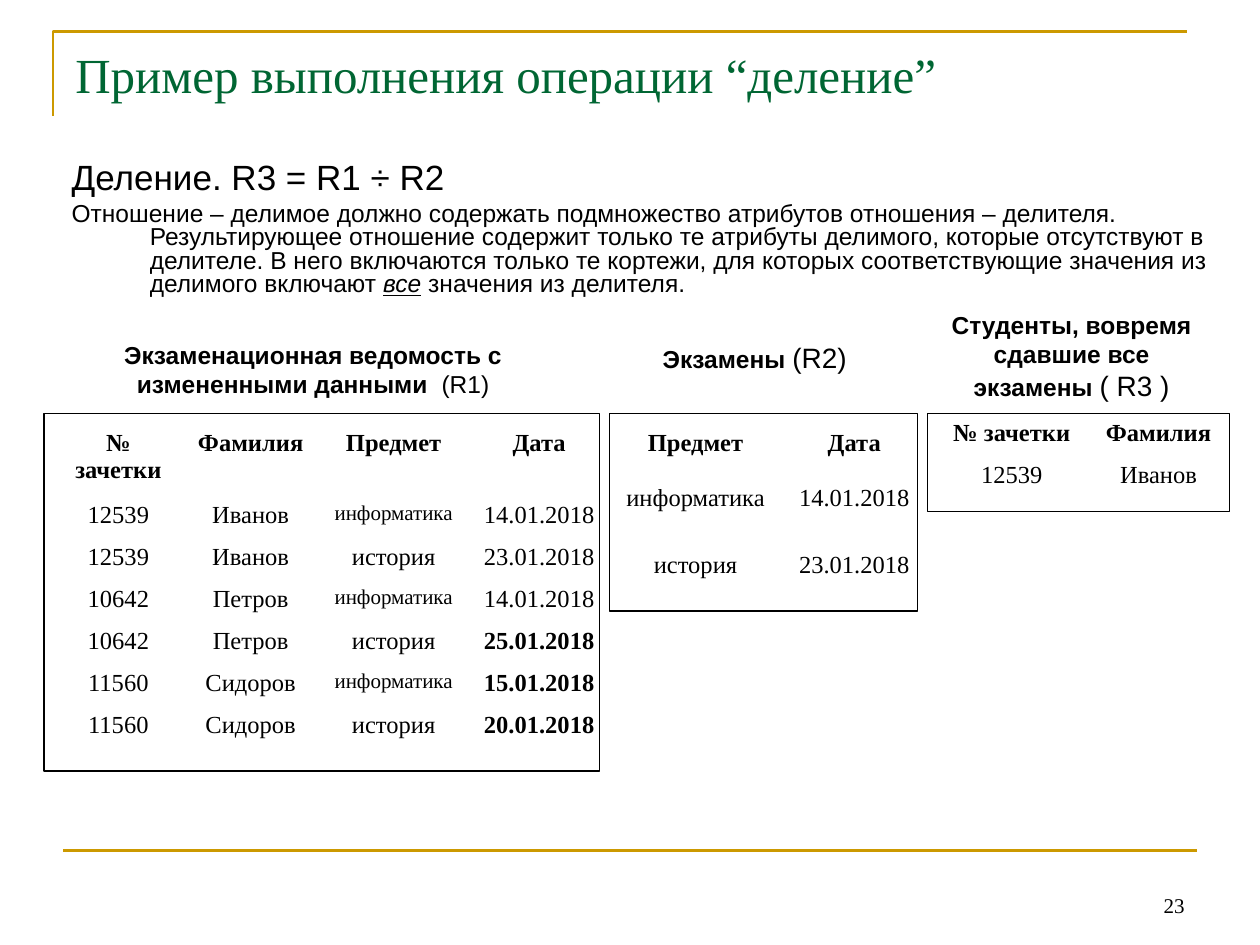
from dataclasses import dataclass

from pptx import Presentation, util as u
from pptx.dml.color import RGBColor
from pptx.enum import shapes, text
from pptx.oxml.xmlchemy import OxmlElement


@dataclass(frozen=True)
class Theme:
    green: str = "006633"
    gold: str = "CC9900"
    black: str = "000000"
    sans: str = "Arial"
    serif: str = "Times New Roman"
    title: float = 28
    heading: float = 20
    symbol: float = 16
    body: float = 14
    small: float = 12
    rule: float = 1.5
    frame: float = 0.75
    plain_table: str = "{2D5ABB26-0587-4C30-8999-92F81FD0307C}"


THEME = Theme()
CENTER = text.PP_ALIGN.CENTER


@dataclass(frozen=True)
class Area:
    left: float
    top: float
    width: float
    height: float

    def lengths(self):
        return [u.Inches(v) for v in (self.left, self.top, self.width, self.height)]


@dataclass(frozen=True)
class Relation:
    area: Area
    columns: tuple
    row_heights: tuple
    rows: tuple
    late: tuple = ()  # dates set in bold
    small: str = ""  # word set in the small size


@dataclass(frozen=True)
class Caption:
    area: Area
    name: str
    symbol: str
    symbol_size: float


def add_span(para, words: str, *, size=THEME.body, font=THEME.sans,
             color=THEME.black, bold=False, italic=False, underline=False):
    """Append formatted text to a paragraph."""
    span = para.add_run()
    span.text = words
    span.font.size, span.font.name = u.Pt(size), font
    span.font.bold, span.font.italic = bold, italic
    span.font.underline = underline
    span.font.color.rgb = RGBColor.from_string(color)


def add_box(page, area: Area, *, anchor=text.MSO_ANCHOR.TOP):
    box = page.shapes.add_textbox(*area.lengths())
    frame = box.text_frame
    frame.word_wrap = True
    frame.vertical_anchor = anchor
    return frame


def set_line(shape, color: str, width: float) -> None:
    shape.line.color.rgb = RGBColor.from_string(color)
    shape.line.width = u.Pt(width)


def add_frame(page, area: Area) -> None:
    frame = page.shapes.add_shape(shapes.MSO_SHAPE.RECTANGLE, *area.lengths())
    frame.shadow.inherit = False
    frame.fill.background()
    set_line(frame, THEME.black, THEME.frame)


def add_caption(page, caption: Caption) -> None:
    para = add_box(page, caption.area).paragraphs[0]
    para.alignment = CENTER
    add_span(para, caption.name, bold=True)
    add_span(para, caption.symbol, size=caption.symbol_size)


def add_relation(page, relation: Relation) -> None:
    table = page.shapes.add_table(len(relation.rows), len(relation.columns),
                                  *relation.area.lengths()).table
    table.first_row = table.horz_banding = False
    table._tbl.tblPr[0].text = THEME.plain_table
    for column, width in zip(table.columns, relation.columns):
        column.width = u.Inches(width)
    for row, height in zip(table.rows, relation.row_heights):
        row.height = u.Inches(height)
    for r, values in enumerate(relation.rows):
        for c, value in enumerate(values):
            cell = table.cell(r, c)
            cell.fill.background()
            if not value:
                continue
            para = cell.text_frame.paragraphs[0]
            para.alignment = CENTER
            size = THEME.small if value == relation.small else THEME.body
            add_span(para, value, font=THEME.serif, size=size,
                     bold=r == 0 or value in relation.late)


def add_rules(page) -> None:
    corner = page.shapes.build_freeform(u.Inches(0.42), u.Inches(0.92))
    corner.add_line_segments([(u.Inches(0.42), u.Inches(0.25)),
                              (u.Inches(9.42), u.Inches(0.25))], close=False)
    bracket = corner.convert_to_shape()
    bracket.shadow.inherit = False
    bracket.fill.background()
    footer = page.shapes.add_connector(
        shapes.MSO_CONNECTOR.STRAIGHT,
        u.Inches(0.5), u.Inches(6.75), u.Inches(9.5), u.Inches(6.75))
    for rule in (bracket, footer):
        set_line(rule, THEME.gold, THEME.rule)
    footer._element.spPr.append(OxmlElement("a:effectLst"))


def add_definition(page) -> None:
    frame = add_box(page, Area(0.47, 1.25, 9.29, 1.18))
    heading, rule = frame.paragraphs[0], frame.add_paragraph()
    for para in (heading, rule):
        para.line_spacing = 0.8
        props = para._p.get_or_add_pPr()
        props.set("marL", str(u.Inches(0.62)))
        props.set("indent", str(u.Inches(-0.62)))
    rule.space_before = u.Pt(3.5)
    add_span(heading, "Деление. R3 = R1 ÷ R2", size=THEME.heading)
    add_span(rule, "Отношение – делимое должно содержать подмножество атрибутов "
                   "отношения – делителя. Результирующее отношение содержит только "
                   "те атрибуты делимого, которые отсутствуют в делителе. В него "
                   "включаются только те кортежи, для которых соответствующие "
                   "значения из делимого включают ")
    add_span(rule, "все", italic=True, underline=True)
    add_span(rule, " значения из делителя.")


EXAMS = Relation(
    Area(4.84, 3.36, 2.52, 1.5), (1.36, 1.16), (0.44, 0.53, 0.53),
    (("Предмет", "Дата"),
     ("информатика", "14.01.2018"),
     ("история", "23.01.2018")))
BLANK = Relation(Area(0.51, 3.51, 2.29, 2), (1.06, 1.23), (0.4,) * 5, (("", ""),) * 5)
PASSED = Relation(
    Area(7.44, 3.28, 2.33, 0.66), (1.18, 1.15), (0.33, 0.33),
    (("№ зачетки", "Фамилия"), ("12539", "Иванов")))
RECORDS = Relation(
    Area(0.43, 3.36, 4.41, 2.62), (1.02, 1.08, 1.19, 1.12),
    (0.57,) + (0.33,) * 5 + (0.4,),
    (("№ зачетки", "Фамилия", "Предмет", "Дата"),
     ("12539", "Иванов", "информатика", "14.01.2018"),
     ("12539", "Иванов", "история", "23.01.2018"),
     ("10642", "Петров", "информатика", "14.01.2018"),
     ("10642", "Петров", "история", "25.01.2018"),
     ("11560", "Сидоров", "информатика", "15.01.2018"),
     ("11560", "Сидоров", "история", "20.01.2018")),
    late=("25.01.2018", "15.01.2018", "20.01.2018"), small="информатика")
CAPTIONS = (
    Caption(Area(7.44, 2.41, 2.13, 0.84), "Студенты, вовремя сдавшие все экзамены ",
            "( R3 )", THEME.symbol),
    Caption(Area(4.76, 2.65, 2.52, 0.37), "Экзамены ", "(R2) ", THEME.symbol),
    Caption(Area(0.83, 2.65, 3.31, 0.57),
            "Экзаменационная ведомость с измененными данными  ", "(R1)", THEME.body))
FRAMES = (Area(7.36, 3.28, 2.4, 0.78), Area(4.84, 3.28, 2.44, 1.57),
          Area(0.35, 3.28, 4.41, 2.84))


def main() -> None:
    deck = Presentation()
    deck.slide_width, deck.slide_height = u.Inches(10), u.Inches(7.5)
    page = deck.slides.add_slide(deck.slide_layouts[6])

    # Decoration, title and definition
    add_rules(page)
    title = add_box(page, Area(0.5, 0.3, 9.15, 1.01))
    add_span(title.paragraphs[0], "Пример выполнения операции “деление”",
             size=THEME.title, font=THEME.serif, color=THEME.green)
    add_definition(page)

    # Captions, frames and relations
    add_relation(page, EXAMS)
    for caption in CAPTIONS:
        add_caption(page, caption)
    add_relation(page, BLANK)
    for area in FRAMES:
        add_frame(page, area)
    for relation in (PASSED, RECORDS):
        add_relation(page, relation)

    # Page number
    number = add_box(page, Area(7.17, 6.83, 2.33, 0.5),
                     anchor=text.MSO_ANCHOR.BOTTOM).paragraphs[0]
    number.alignment = text.PP_ALIGN.RIGHT
    add_span(number, "23", size=THEME.small, font=THEME.serif)

    deck.save("out.pptx")


if __name__ == "__main__":
    main()
